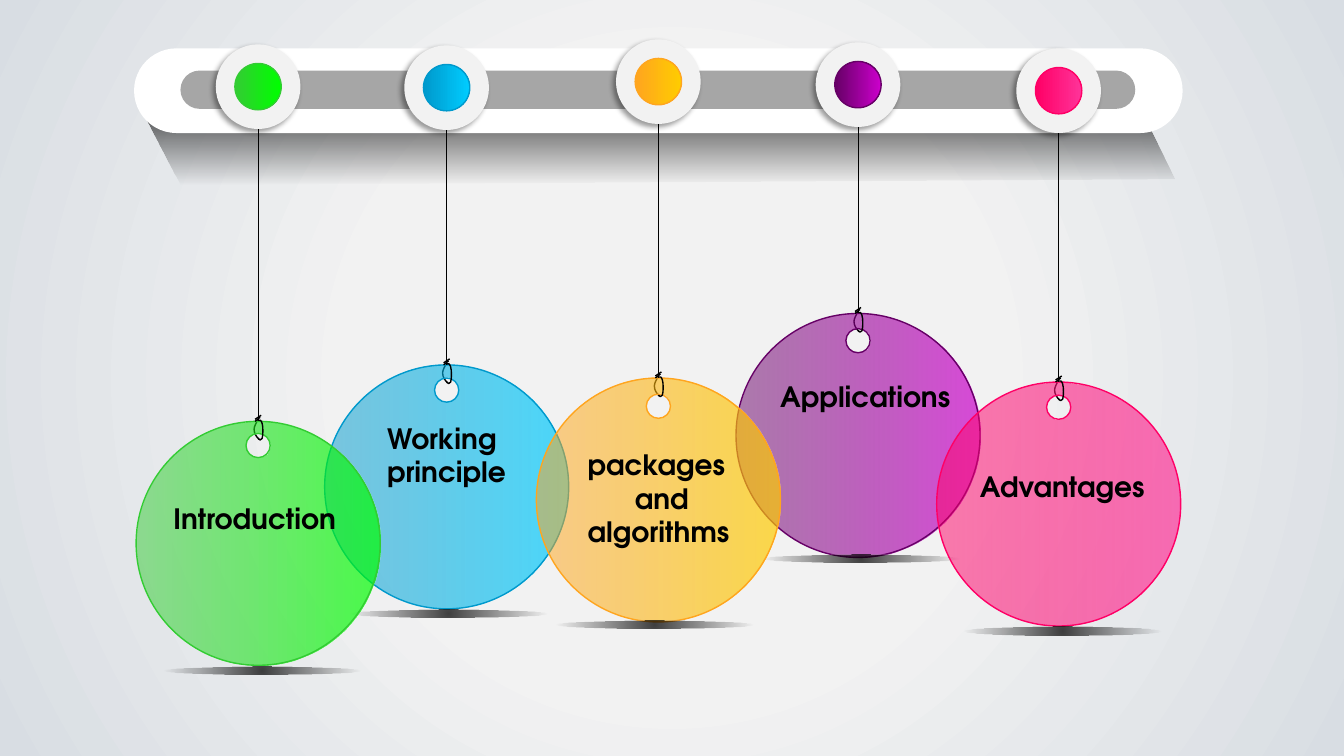
from lxml import etree
from pptx import Presentation, util as u
from pptx.dml.color import RGBColor
from pptx.enum import shapes as kinds, text
from pptx.oxml import parse_xml
from pptx.oxml.ns import nsdecls, qn

# Content: colours are (gradient start and outline, gradient end)
COLORS = {
    "white": "FFFFFF", "groove": "A6A6A6", "light": "F2F2F2",
    "edge": "D8DDE3", "black": "000000",
    "green": ("33CC33", "00FF00"), "blue": ("0099CC", "00CCFF"),
    "orange": ("FFA51F", "FFCC00"), "purple": ("660066", "CC00CC"),
    "pink": ("FF0066", "FF3399"),
}
LEFT, CENTER = text.PP_ALIGN.LEFT, text.PP_ALIGN.CENTER
TAGS = [  # from back to front
    {"color": "purple", "lines": [("Applications", LEFT)],
     "x": 8.51, "knob_y": 0.84, "top": 3.11, "hole": 0.27,
     "shadow": (7.56, 5.5), "label": (7.64, 3.72, 1.88, 0.44)},
    {"color": "pink", "lines": [("Advantages", LEFT)],
     "x": 10.5, "knob_y": 0.9, "top": 3.79, "hole": 0.25,
     "shadow": (9.56, 6.22), "label": (9.62, 4.61, 1.84, 0.44)},
    {"color": "blue", "lines": [("Working", LEFT), ("principle", LEFT)],
     "x": 4.43, "knob_y": 0.87, "top": 3.62, "hole": 0.25,
     "shadow": (3.47, 6.05), "label": (3.74, 4.13, 1.38, 0.77)},
    {"color": "orange",
     "lines": [("packages", LEFT), ("and", CENTER), ("algorithms", LEFT)],
     "x": 6.53, "knob_y": 0.81, "top": 3.75, "hole": 0.28,
     "shadow": (5.51, 6.16), "label": (5.73, 4.39, 1.65, 1.11)},
    {"color": "green", "lines": [("Introduction", LEFT)],
     "x": 2.56, "knob_y": 0.86, "top": 4.18, "hole": 0.24,
     "shadow": (1.62, 6.61), "label": (1.62, 4.93, 1.82, 0.44)},
]
DISC_RADIUS, HOLE_RADIUS = 1.21, 0.12
KNOB_RADIUS, BUTTON_RADIUS = 0.42, 0.23
# Cord curves and knots, measured from the top of each disc
BACK_LOOP = [(0.01, 0.18), (-0.02, 0.15), (-0.04, 0.12), (-0.04, 0.08),
             (-0.04, 0.05), (-0.02, 0.02), (0, -0.02)]
FRONT_LOOP = [(0, -0.01), (0.02, -0.02), (0.03, -0.01), (0.04, 0.02),
              (0.05, 0.05), (0.05, 0.14), (0.04, 0.17),
              (0.03, 0.19), (0.01, 0.19), (0, 0.17)]
KNOTS = [(-0.03, 0, 0.02, -0.04), (-0.03, -0.02, 0.03, -0.06)]
# Control points of a unit circle
BEND = 0.55
CIRCLE = [(0, -1), (BEND, -1), (1, -BEND), (1, 0), (1, BEND), (BEND, 1), (0, 1),
          (-BEND, 1), (-1, BEND), (-1, 0), (-1, -BEND), (-BEND, -1), (0, -1)]
FADE = [(0, COLORS["black"], 74), (100, COLORS["black"], 0)]
FONT = {"name": "TeX Gyre Adventor", "size": u.Pt(20), "bold": True}
FRAME = {"word_wrap": True, "margin_left": u.Inches(0.1),
         "margin_right": u.Inches(0.08)}

presentation = Presentation()
presentation.slide_width = u.Inches(13.33)
presentation.slide_height = u.Inches(7.5)
slide = presentation.slides.add_slide(presentation.slide_layouts[6])


def gradient(properties, stops, angle=None):
    """Replace a solid fill by (position, colour, opacity) stops."""
    marks = "".join(
        f'<a:gs pos="{pos * 1000}"><a:srgbClr val="{color}">'
        f'<a:alpha val="{opacity * 1000}"/></a:srgbClr></a:gs>'
        for pos, color, opacity in stops)
    if angle is None:
        course = ('<a:path path="circle"><a:fillToRect l="50000" t="50000" '
                  'r="50000" b="50000"/></a:path>')
    else:
        course = f'<a:lin ang="{angle * 60000}" scaled="0"/>'
    fill = parse_xml(f'<a:gradFill {nsdecls("a")} rotWithShape="1"><a:gsLst>'
                     f'{marks}</a:gsLst>{course}</a:gradFill>')
    properties.replace(properties.find(qn("a:solidFill")), fill)


def set_line(line, color, width):
    line.color.rgb = RGBColor.from_string(color)
    line.width = u.Pt(width)


def paint(shape, fill=None, stops=None, angle=None, line=None):
    shape.shadow.inherit = False
    if fill or stops:
        shape.fill.solid()
        shape.fill.fore_color.rgb = RGBColor.from_string(fill or COLORS["black"])
    else:
        shape.fill.background()
    if stops:
        gradient(shape.element.spPr, stops, angle)
    if line:
        set_line(shape.line, line, 1)
    else:
        shape.line.fill.background()
    return shape


def preset(kind, *box, **style):
    shape = slide.shapes.add_shape(kind, *map(u.Inches, box))
    return paint(shape, **style)


def circle(x, y, radius, **style):
    return preset(kinds.MSO_SHAPE.OVAL, x - radius, y - radius,
                  2 * radius, 2 * radius, **style)


def placed(points, x, y, scale=1):
    return [(x + scale * dx, y + scale * dy) for dx, dy in points]


def outline(contours, close=True, curved=True, **style):
    contours = [[(u.Inches(x), u.Inches(y)) for x, y in contour]
                for contour in contours]
    builder = slide.shapes.build_freeform(*contours[0][0])
    for index, contour in enumerate(contours):
        if index:
            builder.move_to(*contour[0])
        builder.add_line_segments(contour[1:], close=close)
    shape = builder.convert_to_shape()
    if curved:  # every three points become one cubic curve
        segments = list(shape.element.spPr.iter(qn("a:lnTo")))
        for start in range(0, len(segments), 3):
            bezier = etree.Element(qn("a:cubicBezTo"))
            segments[start].addprevious(bezier)
            for segment in segments[start:start + 3]:
                bezier.append(segment[0])
                segment.getparent().remove(segment)
    return paint(shape, **style)


def cord(x1, y1, x2, y2, width):
    connector = slide.shapes.add_connector(
        kinds.MSO_CONNECTOR.STRAIGHT, *map(u.Inches, (x1, y1, x2, y2)))
    set_line(connector.line, COLORS["black"], width)
    etree.SubElement(connector.element.spPr, qn("a:effectLst"))


def add_label(box, lines):
    frame = slide.shapes.add_textbox(*map(u.Inches, box)).text_frame
    for name, value in FRAME.items():
        setattr(frame, name, value)
    for index, (line, alignment) in enumerate(lines):
        paragraph = frame.add_paragraph() if index else frame.paragraphs[0]
        paragraph.alignment = alignment
        run = paragraph.add_run()
        run.text = line
        for name, value in FONT.items():
            setattr(run.font, name, value)
        run.font.color.rgb = RGBColor.from_string(COLORS["black"])


def add_tag(tag):
    x, top, knob_y = tag["x"], tag["top"], tag["knob_y"]
    start, end = COLORS[tag["color"]]
    # Back of the loop, then the disc with its hole
    outline([placed(BACK_LOOP, x, top)], close=False, line=COLORS["black"])
    outline([placed(CIRCLE[::-1], x, top + tag["hole"], HOLE_RADIUS),
             placed(CIRCLE, x, top + DISC_RADIUS, DISC_RADIUS)],
            stops=[(0, start, 50), (100, end, 70)], angle=0, line=start)
    # Knob on the rail
    knob = circle(x, knob_y, KNOB_RADIUS, fill=COLORS["light"])
    knob.element.spPr.find(qn("a:effectLst")).append(parse_xml(
        f'<a:outerShdw {nsdecls("a")} blurRad="{u.Pt(4)}" dist="{u.Pt(3)}" '
        f'dir="{135 * 60000}" rotWithShape="0"><a:srgbClr '
        f'val="{COLORS["black"]}"><a:alpha val="40000"/></a:srgbClr>'
        '</a:outerShdw>'))
    circle(x, knob_y, BUTTON_RADIUS, line=start, angle=0,
           stops=[(0, start, 100), (100, end, 100)])
    # Cord, front of the loop and knots
    cord(x, knob_y + KNOB_RADIUS, x, top, 0.5)
    outline([placed(FRONT_LOOP, x, top)], close=False, line=COLORS["black"])
    for x1, y1, x2, y2 in KNOTS:
        cord(x + x1, top + y1, x + x2, top + y2, 1)
    # Floor shadow and label
    preset(kinds.MSO_SHAPE.OVAL, *tag["shadow"], 1.96, 0.08, stops=FADE)
    add_label(tag["label"], tag["lines"])


# Background
slide.background.fill.solid()
slide.background.fill.fore_color.rgb = RGBColor.from_string(COLORS["light"])
gradient(slide.element.find(".//" + qn("p:bgPr")),
         [(41, COLORS["light"], 100), (100, COLORS["edge"], 100)])

# Rail and its cast shadow
outline([[(1.79, 1.83), (1.36, 1.02), (11.35, 1.17), (11.65, 1.77)]],
        curved=False, stops=FADE, angle=90)
for box, color in [((1.33, 0.48, 10.4, 0.84), "white"),
                   ((1.79, 0.7, 9.47, 0.38), "groove")]:
    bar = preset(kinds.MSO_SHAPE.ROUNDED_RECTANGLE, *box, fill=COLORS[color])
    bar.adjustments[0] = 0.5

# Hanging tags
for tag in TAGS:
    add_tag(tag)

presentation.save("out.pptx")
